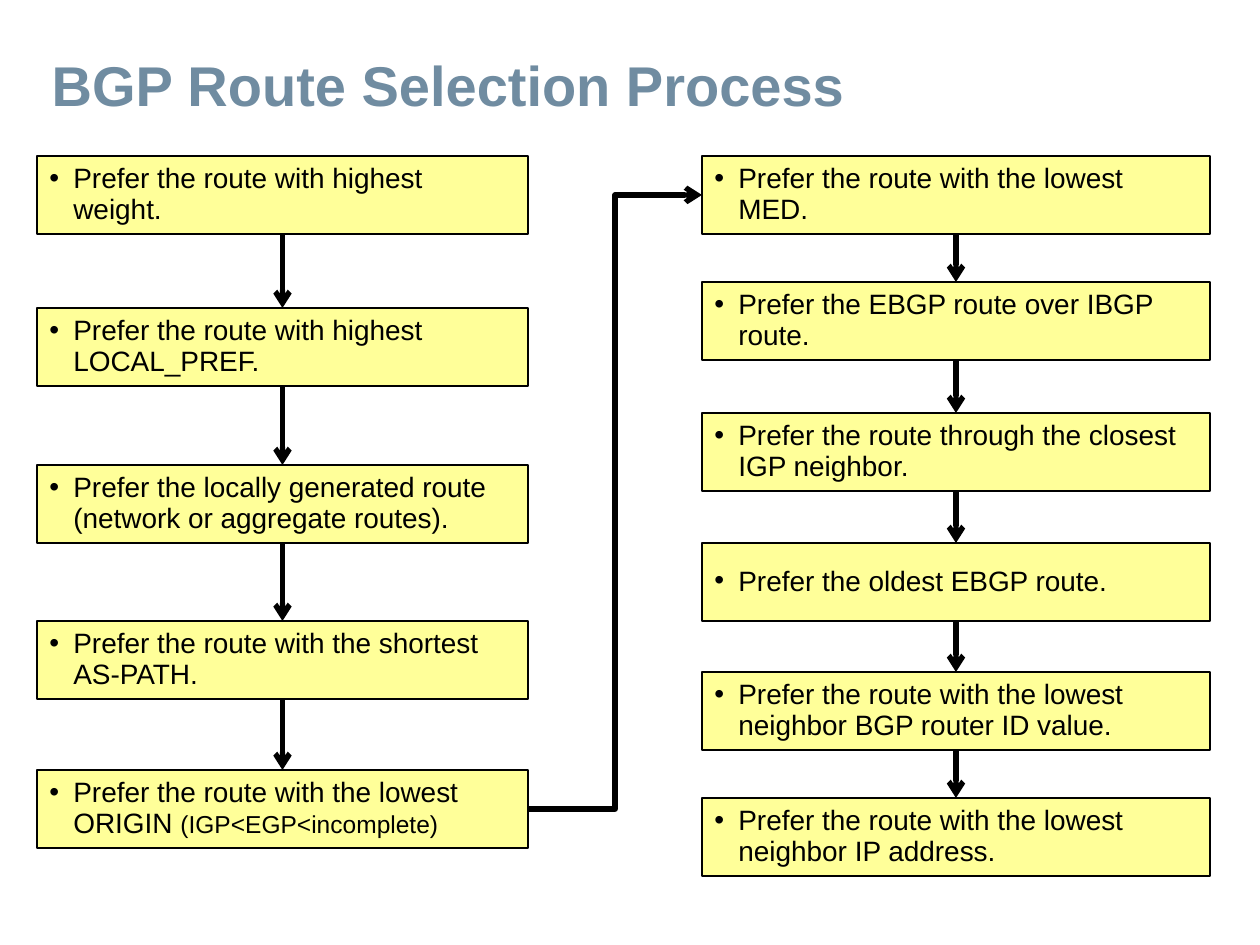
from itertools import pairwise

from lxml import etree
from pptx import Presentation
from pptx.dml.color import RGBColor
from pptx.enum.shapes import MSO_CONNECTOR, MSO_SHAPE
from pptx.enum.text import MSO_ANCHOR, MSO_AUTO_SIZE, PP_ALIGN
from pptx.oxml.ns import qn
from pptx.util import Pt

PX = 914400 / 126
RECTANGLE = MSO_SHAPE.RECTANGLE
STRAIGHT, ELBOW = MSO_CONNECTOR.STRAIGHT, MSO_CONNECTOR.ELBOW
MIDDLE, LEFT, NO_FIT = MSO_ANCHOR.MIDDLE, PP_ALIGN.LEFT, MSO_AUTO_SIZE.NONE
TOP_SITE, LEFT_SITE, BOTTOM_SITE, RIGHT_SITE = range(4)

COLORS = {"title": "708CA1", "step": "FFFF99", "ink": "000000"}
STEP_HEIGHT = 78
BULLET_INDENT = 24
FRAME_FORMAT = {"word_wrap": True, "auto_size": NO_FIT, "vertical_anchor": MIDDLE}
PARA_FORMAT = {"alignment": LEFT, "line_spacing": 0.9}

# Each step: top in px, then its text as (wording, point size) spans
FIRST_STEPS = [
    (156, [("Prefer the route with highest weight.", 16)]),
    (308, [("Prefer the route with highest LOCAL_PREF.", 16)]),
    (465, [("Prefer the locally generated route (network or aggregate routes).", 16)]),
    (621, [("Prefer the route with the shortest AS-PATH.", 16)]),
    (770, [("Prefer the route with the lowest ORIGIN ", 16),
           ("(IGP<EGP<incomplete)", 14)]),
]
LAST_STEPS = [
    (156, [("Prefer the route with the lowest MED.", 16)]),
    (282, [("Prefer the EBGP route over IBGP route.", 16)]),
    (413, [("Prefer the route through the closest IGP neighbor.", 16)]),
    (543, [("Prefer the oldest EBGP route.", 16)]),
    (672, [("Prefer the route with the lowest neighbor BGP router ID value.", 16)]),
    (798, [("Prefer the route with the lowest neighbor IP address.", 16)]),
]


def emu(px):
    return round(px * PX)


def color(name):
    return RGBColor.from_string(COLORS[name])


def set_all(target, values):
    for name, value in values.items():
        setattr(target, name, value)


def write_text(frame, spans, ink, bold=False):
    """Fill the frame with one left-aligned paragraph and return it."""
    set_all(frame, FRAME_FORMAT)
    para = frame.paragraphs[0]
    set_all(para, PARA_FORMAT)
    for wording, size in spans:
        span = para.add_run()
        span.text = wording
        set_all(span.font, {"name": "Arial", "size": Pt(size), "bold": bold})
        span.font.color.rgb = color(ink)
    return para


def add_bullet(para):
    properties = para._p.get_or_add_pPr()
    properties.set("marL", str(emu(BULLET_INDENT)))
    properties.set("indent", str(-emu(BULLET_INDENT)))
    etree.SubElement(properties, qn("a:buFont"), typeface="Arial")
    etree.SubElement(properties, qn("a:buChar"), char="•")


def add_title(page, left, top, width, height):
    title = page.shapes.title
    set_all(title, {"left": emu(left), "top": emu(top),
                    "width": emu(width), "height": emu(height)})
    write_text(title.text_frame, [("BGP Route Selection Process", 32)], "title", True)


def add_step(page, left, top, width, spans):
    box = page.shapes.add_shape(
        RECTANGLE, emu(left), emu(top), emu(width), emu(STEP_HEIGHT))
    box.shadow.inherit = False
    box.fill.solid()
    box.fill.fore_color.rgb = color("step")
    box.line.color.rgb = color("ink")
    box.line.width = Pt(0.75)
    add_bullet(write_text(box.text_frame, spans, "ink"))
    return box


def add_arrow(page, kind, start, start_site, end, end_site):
    arrow = page.shapes.add_connector(kind, 0, 0, 0, 0)
    arrow.begin_connect(start, start_site)
    arrow.end_connect(end, end_site)
    arrow.line.color.rgb = color("ink")
    arrow.line.width = Pt(3)
    etree.SubElement(arrow.line._get_or_add_ln(), qn("a:tailEnd"), type="arrow")
    etree.SubElement(arrow._element.spPr, qn("a:effectLst"))


def add_column(page, left, width, steps):
    """Stack the steps, join each to the next, and return their boxes."""
    boxes = [add_step(page, left, top, width, spans) for top, spans in steps]
    for upper, lower in pairwise(boxes):
        add_arrow(page, STRAIGHT, upper, BOTTOM_SITE, lower, TOP_SITE)
    return boxes


def main():
    deck = Presentation()
    deck.slide_width, deck.slide_height = emu(1260), emu(945)
    page = deck.slides.add_slide(deck.slide_layouts[5])
    add_title(page, 39, 50, 1174, 76)
    first = add_column(page, 37, 491, FIRST_STEPS)
    last = add_column(page, 702, 508, LAST_STEPS)
    add_arrow(page, ELBOW, first[-1], RIGHT_SITE, last[0], LEFT_SITE)
    deck.save("out.pptx")


if __name__ == "__main__":
    main()
